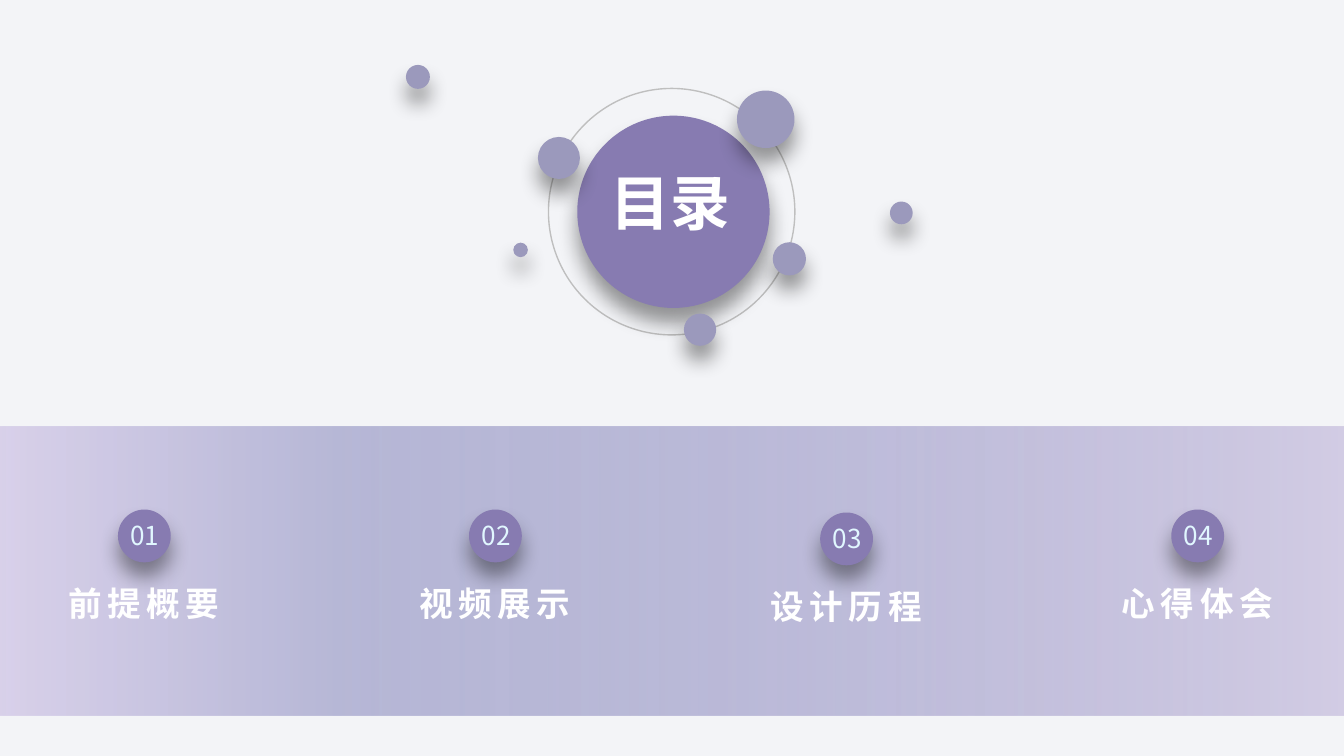
from dataclasses import dataclass

from lxml.etree import SubElement
from pptx import Presentation
from pptx.dml.color import RGBColor
from pptx.enum.shapes import MSO_SHAPE as Shape
from pptx.enum.text import MSO_AUTO_SIZE as AutoSize, PP_ALIGN as Align
from pptx.oxml.ns import qn
from pptx.util import Pt


@dataclass(frozen=True)
class Theme:
    """Colours, type sizes and shadow of the slide."""
    font: str = "Noto Sans CJK SC"
    page: str = "F3F4F7"
    deep: str = "877BB1"
    pale: str = "9B99BC"
    ring: str = "BFBFBF"
    white: str = "FFFFFF"
    ice: str = "E1F7FF"
    shadow: str = "000000"
    shadow_alpha: int = 40
    shadow_blur: int = 11
    shadow_distance: int = 8
    title_size: int = 32
    label_size: int = 18
    number_size: int = 14
    label_spacing: int = 3
    band: tuple = ((0, "D2CCE4", 100), (75, "8F90C1", 60), (100, "C8BBE2", 61))


class ContentsSlide:
    """Draws styled elements on the current slide."""

    def __init__(self, slide, theme):
        """Keep the slide and theme and paint the background."""
        self.slide, self.theme = slide, theme
        fill = slide.background.fill
        fill.solid()
        fill.fore_color.rgb = RGBColor.from_string(theme.page)

    def add_colour(self, parent, colour, alpha):
        """Append a colour with its opacity in percent."""
        node = SubElement(parent, qn("a:srgbClr"), val=colour)
        SubElement(node, qn("a:alpha"), val=str(alpha * 1000))

    def band(self, left, top, width, height):
        """Draw the gradient band."""
        box = self.slide.shapes.add_shape(
            Shape.RECTANGLE, Pt(left), Pt(top), Pt(width), Pt(height))
        box.shadow.inherit = False
        box.line.fill.background()
        box.fill.gradient()
        box.fill.gradient_angle = 180
        stops = box.element.spPr.find(".//" + qn("a:gsLst"))
        stops.clear()
        for position, colour, alpha in self.theme.band:
            stop = SubElement(stops, qn("a:gs"), pos=str(position * 1000))
            self.add_colour(stop, colour, alpha)

    def circle(self, left, top, size, colour=None, line=None, parent=None):
        """Draw a shadowed disc, or an outline when no colour is given."""
        shapes = (parent or self.slide).shapes
        disc = shapes.add_shape(Shape.OVAL, Pt(left), Pt(top), Pt(size), Pt(size))
        disc.shadow.inherit = False
        if line:
            disc.line.color.rgb = RGBColor.from_string(line)
            disc.line.width = Pt(0.75)
        else:
            disc.line.fill.background()
        if not colour:
            disc.fill.background()
            return
        disc.fill.solid()
        disc.fill.fore_color.rgb = RGBColor.from_string(colour)
        theme = self.theme
        shadow = SubElement(
            disc.element.spPr.find(qn("a:effectLst")), qn("a:outerShdw"),
            blurRad=str(Pt(theme.shadow_blur)), dist=str(Pt(theme.shadow_distance)),
            dir=str(90 * 60000), algn="t", rotWithShape="0")
        self.add_colour(shadow, theme.shadow, theme.shadow_alpha)

    def text(self, words, frame, size, colour, bold=False, align=Align.CENTER,
             wrap=False, spacing=0, parent=None):
        """Write one line of text in a box."""
        shapes = (parent or self.slide).shapes
        box = shapes.add_textbox(*(Pt(value) for value in frame))
        box.text_frame.word_wrap = wrap
        box.text_frame.auto_size = AutoSize.SHAPE_TO_FIT_TEXT
        para = box.text_frame.paragraphs[0]
        para.alignment = align
        span = para.add_run()
        span.text = words
        formats = {"name": self.theme.font, "size": Pt(size), "bold": bold}
        for name, value in formats.items():
            setattr(span.font, name, value)
        span.font.color.rgb = RGBColor.from_string(colour)
        properties = span.font._element
        SubElement(properties, qn("a:ea"), typeface=self.theme.font)
        if spacing:
            properties.set("spc", str(spacing * 100))

    def entry(self, number, label, left, top):
        """Draw one numbered entry as a group."""
        theme = self.theme
        group = self.slide.shapes.add_group_shape()
        self.circle(left + 33.7, top, 28.3, theme.deep, parent=group)
        self.text(label, (left, top + 36, 99.4, 28.8), theme.label_size,
                  theme.white, bold=True, align=Align.LEFT,
                  spacing=theme.label_spacing, parent=group)
        self.text(f"{number:02d}", (left + 30.2, top + 1.5, 36, 24.5),
                  theme.number_size, theme.ice, wrap=True, parent=group)


def main():
    """Build and save the contents slide."""
    deck = Presentation()
    deck.slide_width, deck.slide_height = Pt(720), Pt(405)
    theme = Theme()
    page = ContentsSlide(deck.slides.add_slide(deck.slide_layouts[6]), theme)

    page.band(0, 228.6, 720, 154.8)
    page.circle(293.8, 47.4, 132, line=theme.ring)
    page.circle(309.3, 62, 103, theme.deep)
    page.text("目录", (319.7, 85, 79.2, 46), theme.title_size, theme.white, bold=True)

    satellites = (
        (394.8, 48.5, 30.8), (288.2, 73.4, 22.5), (217.5, 34.8, 12.8),
        (366.4, 168, 17.3), (414, 129.8, 17.8), (476.8, 108, 12.2),
        (275, 130, 7.8))
    for left, top, size in satellites:
        page.circle(left, top, size, theme.pale)

    entries = (("前提概要", 273), ("视频展示", 273), ("设计历程", 274.6), ("心得体会", 273))
    for index, (label, top) in enumerate(entries):
        page.entry(index + 1, label, 29.5 + index * 188.1, top)
    deck.save("out.pptx")


if __name__ == "__main__":
    main()
